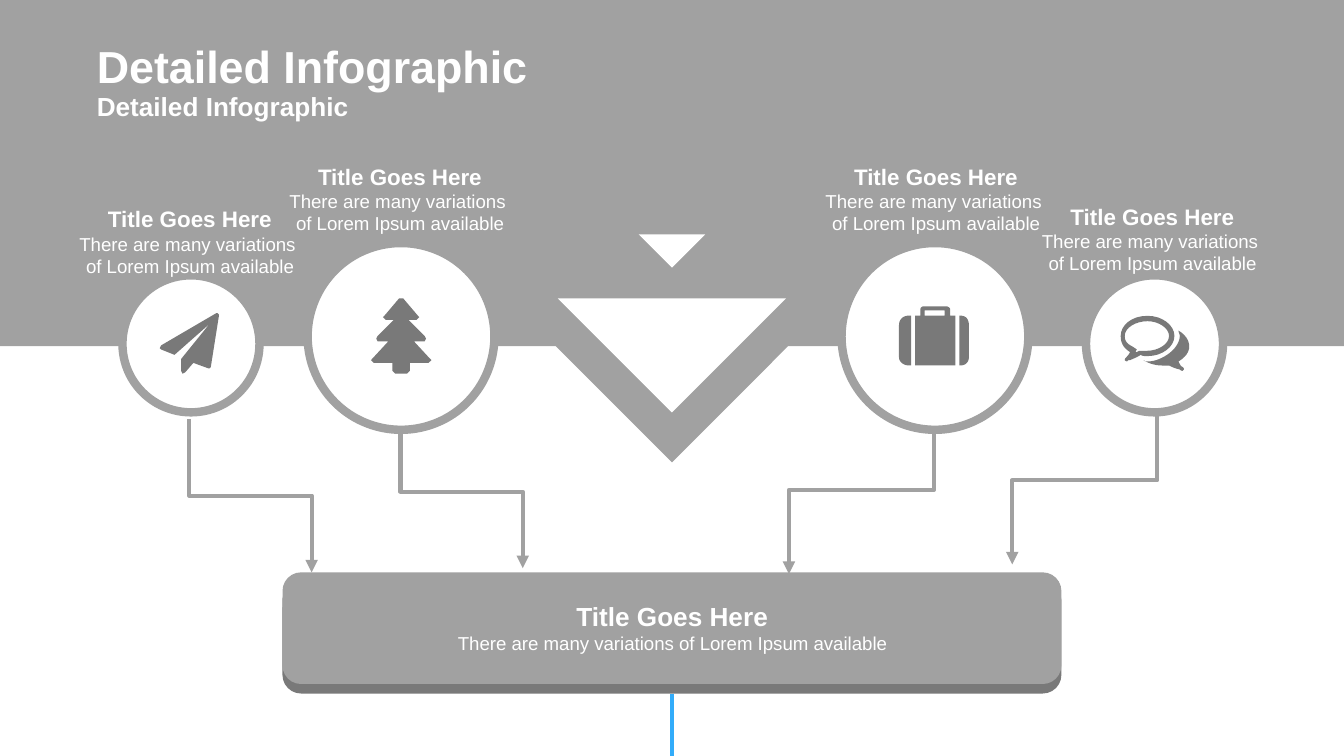
from dataclasses import dataclass

from pptx import Presentation
from pptx.dml.color import RGBColor
from pptx.enum.shapes import MSO_CONNECTOR as Connector, MSO_SHAPE as Shape
from pptx.enum.text import MSO_ANCHOR as Anchor, MSO_AUTO_SIZE as AutoSize, PP_ALIGN as Align
from pptx.oxml.ns import qn
from pptx.util import Cm, Pt
from lxml.etree import SubElement

GREY, DARK, WHITE, BLUE = "A1A1A1", "797979", "FFFFFF", "32ACFA"
SLIDE_W, SLIDE_H = 25.4, 14.29
MIDDLE = SLIDE_W / 2
CURVE_STEPS = 8
GRAIN = 100  # freeform points are whole numbers, so icon units are subdivided


def mirror(points, width):
    """Reflect icon points left to right, in reverse drawing order."""
    return [(width - x, y) for x, y in reversed(points)]


# Icon outlines are in hundredths of an inch. A pair is a corner,
# six numbers are a Bézier curve from the point before.
TREE_RIGHT = [(24, 0), (35, 13), (36, 14), (34, 16), (28, 16), (40, 28), (41, 30),
              (40, 32), (32, 32), (44, 45), (45, 46), (43, 48), (29, 48), (29, 54), (27, 56)]
TREE = [TREE_RIGHT + mirror(TREE_RIGHT, 45)]

SUITCASE = [
    [(9, 44), (7, 44), (3, 44, 0, 41, 0, 38), (0, 14), (0, 10, 3, 7, 7, 7), (9, 7)],
    [(42, 44), (12, 44), (12, 7), (16, 7), (16, 2), (16, 1, 17, 0, 19, 0), (35, 0),
     (36, 0, 38, 1, 38, 2), (38, 7), (42, 7)],
    [(34, 7), (34, 3), (19, 3), (19, 7)],
    [(45, 44), (46, 44), (50, 44, 52, 41, 52, 38), (52, 14), (52, 10, 50, 7, 46, 7), (45, 7)],
]

PLANE = [[(44, 2), (38, 40), (37, 41), (36, 41), (25, 37), (19, 44), (17, 45), (16, 43),
          (16, 34), (37, 8), (11, 31), (1, 27), (0, 26), (1, 24), (42, 0), (43, 0), (44, 1)]]

BUBBLES = [
    [(40, 15), (40, 23, 31, 30, 20, 30), (18, 30, 16, 30, 15, 29), (12, 31, 9, 32, 7, 33),
     (6, 33, 5, 33, 5, 34), (4, 34, 3, 33, 3, 33), (3, 32, 4, 31, 4, 31),
     (5, 30, 6, 29, 7, 27), (2, 24, 0, 20, 0, 15), (0, 7, 8, 0, 20, 0), (31, 0, 40, 7, 40, 15)],
    [(3, 15), (3, 19, 5, 21, 9, 23), (12, 25), (11, 27), (12, 27), (14, 26), (15, 26),
     (16, 26, 18, 26, 20, 26), (28, 26, 36, 21, 36, 15), (36, 9, 28, 4, 20, 4),
     (11, 4, 3, 9, 3, 15)],
    [(46, 38), (47, 39, 47, 39, 47, 40), (47, 40, 46, 41, 46, 41), (45, 41, 44, 40, 44, 40),
     (40, 39, 38, 38, 36, 37), (34, 37, 32, 37, 31, 37), (25, 37, 20, 35, 17, 33),
     (18, 34, 19, 34, 20, 34), (26, 34, 32, 31, 36, 28), (40, 25, 44, 20, 44, 15),
     (44, 14, 43, 12, 43, 11), (48, 14, 51, 18, 51, 23), (51, 27, 48, 31, 43, 34),
     (44, 36, 45, 38, 46, 38)],
]


@dataclass
class Station:
    """A circle with its icon, its label above and its arrow to the base."""
    center: tuple
    diameter: float
    label_center: float
    label_top: float
    arrow: tuple
    icon: list
    icon_at: tuple


STATIONS = [
    Station((3.61, 6.5), 2.59, 3.59, 3.76, (3.58, 7.92, 5.89, 10.82), PLANE, (3.02, 5.92)),
    Station((7.58, 6.36), 3.53, 7.56, 2.95, (7.57, 7.85, 9.88, 10.74), TREE, (7.01, 5.64)),
    Station((17.67, 6.36), 3.53, 17.69, 2.95, (17.65, 7.67, 14.91, 10.85), SUITCASE,
            (16.99, 5.79)),
    Station((21.82, 6.5), 2.59, 21.78, 3.71, (21.87, 7.49, 19.13, 10.67), BUBBLES,
            (21.18, 5.97)),
]


def rgb(color):
    return RGBColor.from_string(color)


def paint(shape, fill, line=None, width=0):
    shape.shadow.inherit = False
    shape.fill.solid()
    shape.fill.fore_color.rgb = rgb(fill)
    if line:
        shape.line.color.rgb = rgb(line)
        shape.line.width = Pt(width)
    else:
        shape.line.fill.background()


def add_block(slide, kind, box, fill, line=None, width=0):
    shape = slide.shapes.add_shape(kind, *map(Cm, box))
    paint(shape, fill, line, width)
    return shape


def add_down_triangle(slide, center_y, side):
    """Turn a right triangle so that its right angle points down."""
    box = (MIDDLE - side / 2, center_y - side / 2, side, side)
    add_block(slide, Shape.RIGHT_TRIANGLE, box, WHITE).rotation = 315


def add_line(slide, kind, ends, color):
    line = slide.shapes.add_connector(kind, *map(Cm, ends))
    line.line.color.rgb = rgb(color)
    line.line.width = Pt(2.25)
    SubElement(line._element.spPr, qn("a:effectLst"))
    return line


def add_step_arrow(slide, x1, y1, x2, y2):
    """Draw a down-across-down arrow: an elbow turned by a quarter about its centre."""
    center_x, center_y = (x1 + x2) / 2, (y1 + y2) / 2
    half_run, half_drop = (x2 - x1) / 2, (y2 - y1) / 2
    ends = (center_x - half_drop, center_y + half_run, center_x + half_drop, center_y - half_run)
    arrow = add_line(slide, Connector.ELBOW, ends, GREY)
    arrow._element.spPr.find(qn("a:xfrm")).set("rot", "5400000")
    SubElement(arrow.line._get_or_add_ln(), qn("a:tailEnd"), type="triangle")


def flatten(outline):
    """Turn corners and curves into a list of plain points."""
    points = []
    for step in outline:
        if len(step) == 2:
            points.append(step)
            continue
        (x0, y0), (x1, y1, x2, y2, x3, y3) = points[-1], step
        for i in range(1, CURVE_STEPS + 1):
            t = i / CURVE_STEPS
            a, b, c, d = (1 - t) ** 3, 3 * t * (1 - t) ** 2, 3 * t * t * (1 - t), t ** 3
            points.append((a * x0 + b * x1 + c * x2 + d * x3, a * y0 + b * y1 + c * y2 + d * y3))
    return [(round(x * GRAIN), round(y * GRAIN)) for x, y in points]


def add_icon(slide, outlines, left, top):
    first, *others = map(flatten, outlines)
    builder = slide.shapes.build_freeform(*first[0], scale=Cm(2.54) / 100 / GRAIN)
    builder.add_line_segments(first[1:], close=True)
    for points in others:
        builder.move_to(*points[0])
        builder.add_line_segments(points[1:], close=True)
    paint(builder.convert_to_shape(Cm(left), Cm(top)), DARK)


def add_text(slide, box, paragraphs, align=Align.CENTER):
    """Fill a text box; each paragraph is its lines, size and boldness."""
    frame = slide.shapes.add_textbox(*map(Cm, box)).text_frame
    frame.word_wrap = True
    for i, (lines, size, bold) in enumerate(paragraphs):
        paragraph = frame.add_paragraph() if i else frame.paragraphs[0]
        paragraph.alignment = align
        for j, line in enumerate(lines):
            if j:
                paragraph.add_line_break()
            run = paragraph.add_run()
            run.text = line
            font = run.font
            font.name, font.size, font.bold = "Arial", Pt(size), bold
            font.color.rgb = rgb(WHITE)
    return frame


def add_heading(slide, box, text, size):
    frame = add_text(slide, box, [([text], size, True)], Align.LEFT)
    frame.vertical_anchor = Anchor.MIDDLE
    frame.margin_left = frame.margin_top = frame.margin_right = frame.margin_bottom = 0


def add_caption(slide, box, title_size, lines):
    paragraphs = [(["Title Goes Here"], title_size, True), (lines, 10, False)]
    add_text(slide, box, paragraphs).auto_size = AutoSize.SHAPE_TO_FIT_TEXT


def main():
    deck = Presentation()
    deck.slide_width, deck.slide_height = Cm(SLIDE_W), Cm(SLIDE_H)
    slide = deck.slides.add_slide(deck.slide_layouts[6])

    stem = add_line(slide, Connector.STRAIGHT, (MIDDLE, 13.1, MIDDLE, SLIDE_H), BLUE)
    banner = add_block(slide, Shape.DOWN_ARROW_CALLOUT, (0, -0.05, SLIDE_W, 8.79), GREY)
    for i, share in enumerate((0.25, 0.25, 0.25, 0.75)):
        banner.adjustments[i] = share
    add_heading(slide, (1.83, 0.74, 15.67, 0.99), "Detailed Infographic", 24)
    add_heading(slide, (1.83, 1.73, 11.43, 0.56), "Detailed Infographic", 14)
    add_down_triangle(slide, 5.64, 3.05)
    add_down_triangle(slide, 4.43, 0.89)

    for station in STATIONS:
        add_step_arrow(slide, *station.arrow)
    base_edge = add_block(slide, Shape.ROUNDED_RECTANGLE, (5.34, 11, 14.72, 2.11), DARK)
    stem.begin_connect(base_edge, 2)
    add_block(slide, Shape.ROUNDED_RECTANGLE, (5.34, 10.82, 14.72, 2.11), GREY)

    for station in STATIONS:
        (x, y), size = station.center, station.diameter
        add_block(slide, Shape.OVAL, (x - size / 2, y - size / 2, size, size), WHITE, GREY, 4.5)
        add_icon(slide, station.icon, *station.icon_at)
    add_caption(slide, (7.14, 11.23, 11.13, 1.27), 14,
                ["There are many variations of Lorem Ipsum available"])
    for station in STATIONS:
        add_caption(slide, (station.label_center - 2.53, station.label_top, 5.06, 1.63), 12,
                    ["There are many variations ", "of Lorem Ipsum available"])
    deck.save("out.pptx")


if __name__ == "__main__":
    main()
